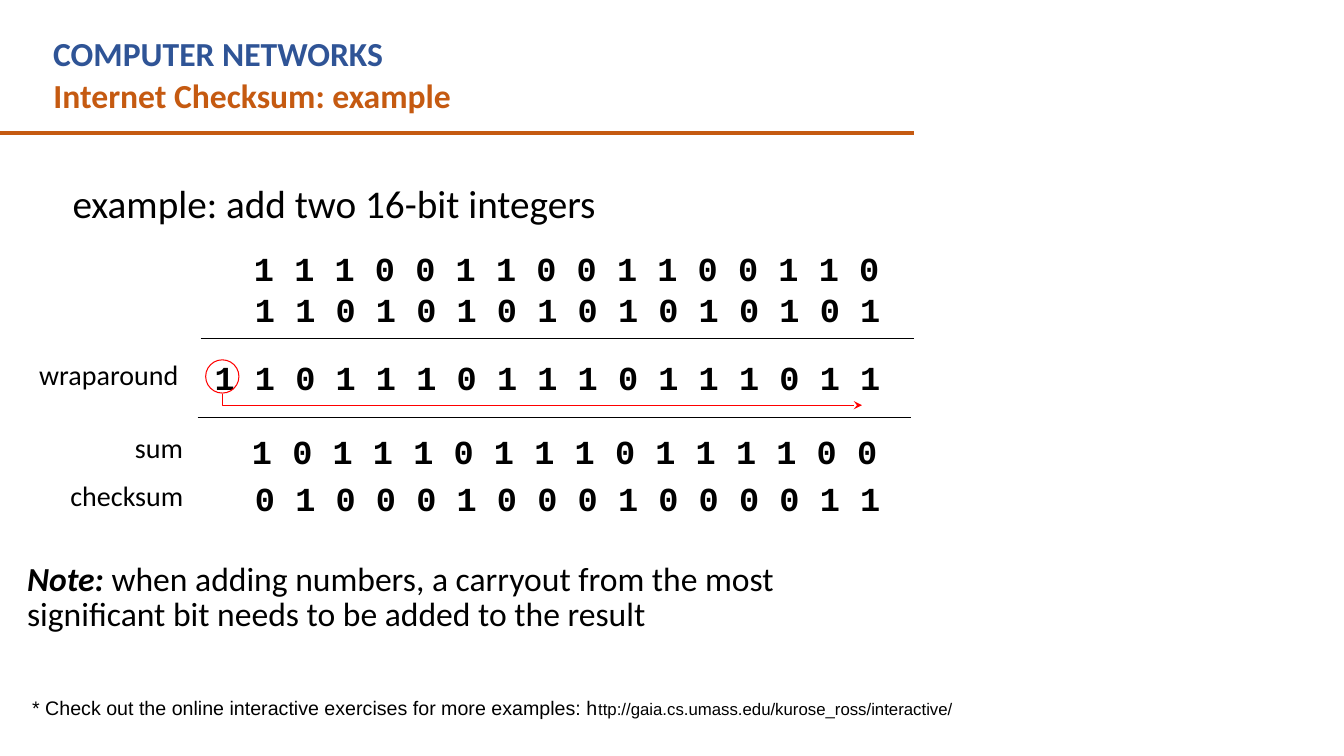
from typing import NamedTuple

from lxml.etree import SubElement
from pptx import Presentation
from pptx.dml.color import RGBColor
from pptx.enum.shapes import MSO_CONNECTOR, MSO_SHAPE
from pptx.enum.text import MSO_ANCHOR, MSO_AUTO_SIZE, PP_ALIGN
from pptx.oxml.ns import qn
from pptx.util import Pt

PX = 9144  # EMU per px, 100 px to the inch
BLACK, BLUE, ORANGE, RED = "000000", "2F5496", "C55A11", "FF0000"


class Run(NamedTuple):
    text: str
    size: int
    font: str = "Calibri"
    color: str = BLACK
    bold: bool = False
    italic: bool = False


class Block(NamedTuple):
    x: int
    y: int
    w: int
    h: int
    runs: list[Run]
    spacing: float = 1.0


class Rule(NamedTuple):
    x1: int
    x2: int
    y: int
    color: str
    width: float


def bits(x: int, y: int, digits: str) -> Block:
    """A row of binary digits set one space apart."""
    return Block(x, y, 40 * len(digits) + 5, 50,
                 [Run(" ".join(digits), 24, "Courier New", bold=True)])


def label(x: int, y: int, w: int, text: str) -> Block:
    return Block(x, y, w, 44, [Run(text, 20)])


TITLE = Block(43, 69, 875, 50, [Run("Internet Checksum: example", 24, color=ORANGE, bold=True)])
BODY = Block(62, 159, 850, 300, [Run("example: add two 16-bit integers", 28)], 1.3)
BLOCKS = [
    Block(43, 28, 820, 50, [Run("COMPUTER NETWORKS", 24, color=BLUE, bold=True)]),
    bits(242, 241, "1110011001100110"),
    bits(243, 282, "1101010101010101"),
    bits(203, 349, "11011101110111011"),
    bits(240, 423, "1011101110111100"),
    bits(243, 469, "0100010001000011"),
    label(29, 350, 159, "wraparound"),
    label(124, 422, 70, "sum"),
    label(60, 470, 134, "checksum"),
    Block(17, 555, 777, 118, [
        Run("Note: ", 24, bold=True, italic=True),
        Run("when adding numbers, a carryout from the most significant bit "
            "needs to be added to the result", 24),
    ], 0.85),
    Block(22, 685, 1078, 34, [
        Run("* Check out the online interactive exercises for more examples: h", 14, "Arial"),
        Run("ttp://gaia.cs.umass.edu/kurose_ross/interactive/", 12, "Arial"),
    ]),
]
RULES = [
    Rule(-1, 907, 132, ORANGE, 3),
    Rule(199, 907, 336, BLACK, 1),
    Rule(196, 904, 414, BLACK, 1),
]


def rgb(color: str) -> RGBColor:
    return RGBColor.from_string(color)


def emu(*lengths: int) -> list[int]:
    return [n * PX for n in lengths]


def set_line(shape, color: str, width: float) -> None:
    shape.line.color.rgb = rgb(color)
    shape.line.width = Pt(width)


def fill_text(sp, block: Block) -> None:
    """Place a text shape and write its runs as one paragraph."""
    sp.left, sp.top, sp.width, sp.height = emu(*block[:4])
    tf = sp.text_frame
    tf.word_wrap = True
    tf.auto_size = MSO_AUTO_SIZE.NONE
    tf.vertical_anchor = MSO_ANCHOR.TOP
    p = tf.paragraphs[0]
    p.alignment = PP_ALIGN.LEFT
    p.line_spacing = block.spacing
    p.space_before = Pt(0)
    for run in block.runs:
        r = p.add_run()
        r.text = run.text
        r.font.name = run.font
        r.font.size = Pt(run.size)
        r.font.bold = run.bold
        r.font.italic = run.italic
        r.font.color.rgb = rgb(run.color)


def remove_bullet(p) -> None:
    pPr = p._p.get_or_add_pPr()
    pPr.set("marL", "0")
    pPr.set("indent", "0")
    SubElement(pPr, qn("a:buNone"))


def add_rule(s, rule: Rule) -> None:
    line = s.shapes.add_connector(MSO_CONNECTOR.STRAIGHT,
                                  *emu(rule.x1, rule.y, rule.x2, rule.y))
    set_line(line, rule.color, rule.width)
    SubElement(line._element.spPr, qn("a:effectLst"))


def add_carry(s) -> None:
    """Circle the carry bit and lead it to the last column."""
    circle = s.shapes.add_shape(MSO_SHAPE.OVAL, *emu(204, 357, 33, 33))
    builder = s.shapes.build_freeform(221, 391, scale=PX)
    builder.add_line_segments([(221, 402), (855, 402)], close=False)
    arrow = builder.convert_to_shape()
    for sp in (circle, arrow):
        sp.shadow.inherit = False
        sp.fill.background()
        set_line(sp, RED, 0.75)
    SubElement(arrow.line._get_or_add_ln(), qn("a:tailEnd"), type="stealth")


def main() -> None:
    prs = Presentation()
    prs.slide_width, prs.slide_height = emu(1333, 750)
    s = prs.slides.add_slide(prs.slide_layouts[1])
    body = s.placeholders[1]
    fill_text(s.shapes.title, TITLE)
    fill_text(body, BODY)
    remove_bullet(body.text_frame.paragraphs[0])
    for rule in RULES:
        add_rule(s, rule)
    for block in BLOCKS:
        fill_text(s.shapes.add_textbox(0, 0, 0, 0), block)
    add_carry(s)
    prs.save("out.pptx")


if __name__ == "__main__":
    main()
